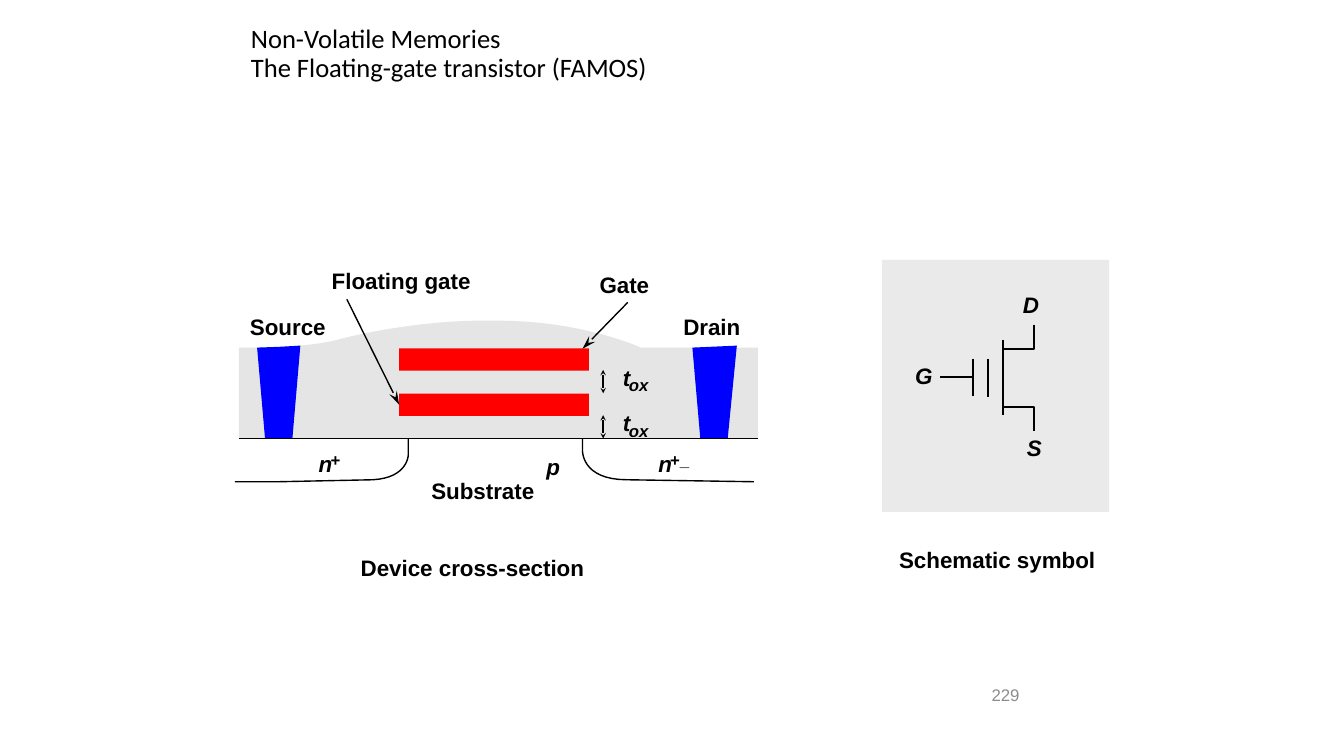
"""Build the slide on the floating-gate transistor."""
import pptx
import pptx.util
import pptx.oxml
import pptx.oxml.ns
import pptx.dml.color
import pptx.enum.text
import pptx.enum.shapes

Cm = pptx.util.Cm
Pt = pptx.util.Pt
ANCHOR = pptx.enum.text.MSO_ANCHOR
FIT = pptx.enum.text.MSO_AUTO_SIZE
ALIGN = pptx.enum.text.PP_ALIGN
SHAPE = pptx.enum.shapes.MSO_SHAPE
LINK = pptx.enum.shapes.MSO_CONNECTOR

HUES = {
    "ink": "000000",
    "panel": "EAEAEA",
    "oxide": "E5E5E5",
    "gate": "FF0000",
    "metal": "0000FF",
    "page": "8C8C8C",
}
BOLD = {"name": "Arial", "size": Pt(16), "bold": True}
SLANT = {**BOLD, "italic": True}
SMALL = {**BOLD, "size": Pt(12)}
SUB = {**SLANT, "size": Pt(12)}
TITLE = {"name": "Calibri", "size": Pt(19), "bold": False}
PAGE = {"name": "Arial", "size": Pt(12), "bold": False}
PITCH = 1.14
BASE = 11.05


def hue(name):
    """Return the named colour."""
    return pptx.dml.color.RGBColor.from_string(HUES[name])


def style(item, values):
    """Set the given attributes on an item."""
    for key, value in values.items():
        setattr(item, key, value)


def write(frame, text, face, color="ink"):
    """Put formatted text in a frame."""
    frame.text = text
    for run in frame.paragraphs[0].runs:
        style(run.font, face)
        run.font.color.rgb = hue(color)


def label(shapes, text, x, y, w, face=BOLD):
    """Add a tight one-line label."""
    box = shapes.add_textbox(Cm(x), Cm(y), Cm(w), Pt(face["size"].pt * 1.2))
    style(box.text_frame, {
        "margin_left": 0, "margin_right": 0, "margin_top": 0,
        "margin_bottom": 0, "word_wrap": False,
        "auto_size": FIT.SHAPE_TO_FIT_TEXT,
    })
    write(box.text_frame, text, face)


def paint(shape, color):
    """Fill a shape flat, with no outline or shadow."""
    shape.shadow.inherit = False
    shape.fill.solid()
    shape.fill.fore_color.rgb = hue(color)
    shape.line.fill.background()


def block(shapes, x, y, w, h, color):
    """Add a filled rectangle."""
    shape = shapes.add_shape(SHAPE.RECTANGLE, Cm(x), Cm(y), Cm(w), Cm(h))
    paint(shape, color)
    return shape


def bend(start, one, two, end, steps=16):
    """Return points along a cubic curve."""
    points = []
    for step in range(steps + 1):
        t = step / steps
        u = 1 - t
        points.append(tuple(
            u**3 * a + 3 * u * u * t * b + 3 * u * t * t * c + t**3 * d
            for a, b, c, d in zip(start, one, two, end)))
    return points


def trace(shapes, points, close):
    """Add an outline through the points."""
    spots = [(Cm(x), Cm(y)) for x, y in points]
    pen = shapes.build_freeform(*spots[0], scale=1.0)
    pen.add_line_segments(spots[1:], close=close)
    return pen.convert_to_shape()


def patch(shapes, points, color):
    """Add a filled closed outline."""
    paint(trace(shapes, points, True), color)


def wire(shapes, points, width=1):
    """Add an open line through the points."""
    shape = trace(shapes, points, False)
    shape.shadow.inherit = False
    shape.fill.background()
    shape.line.color.rgb = hue("ink")
    shape.line.width = Pt(width)


def link(shapes, x1, y1, x2, y2, width=1, ends=(), size="med"):
    """Add a straight line, with arrowheads at the named ends."""
    line = shapes.add_connector(LINK.STRAIGHT, Cm(x1), Cm(y1), Cm(x2), Cm(y2))
    line.line.color.rgb = hue("ink")
    line.line.width = Pt(width)
    stroke = line.line._get_or_add_ln()
    for end in ends:
        tip = pptx.oxml.parse_xml(
            f'<a:{end} {pptx.oxml.ns.nsdecls("a")} type="stealth"/>')
        tip.set("w", size)
        tip.set("len", "lg" if size == "med" else size)
        stroke.append(tip)
    line._element.spPr.append(pptx.oxml.parse_xml(
        f'<a:effectLst {pptx.oxml.ns.nsdecls("a")}/>'))
    return line


def head(slide):
    """Fill in the title."""
    title = slide.shapes.title
    style(title, {"left": Cm(6.07), "top": Cm(-0.22),
                  "width": Cm(21.59), "height": Cm(3.18)})
    frame = title.text_frame
    write(frame, "Non-Volatile Memories\vThe Floating-gate transistor (FAMOS)",
          TITLE)
    style(frame, {"vertical_anchor": ANCHOR.MIDDLE, "auto_size": FIT.NONE})
    style(frame.paragraphs[0], {"alignment": ALIGN.LEFT, "line_spacing": 0.9})


def number(shapes):
    """Add the page number."""
    box = shapes.add_textbox(Cm(24.74), Cm(16.92), Cm(1.7), Cm(1.19))
    write(box.text_frame, "229", PAGE, "page")
    style(box.text_frame, {"vertical_anchor": ANCHOR.MIDDLE,
                           "word_wrap": True})


def device(shapes):
    """Draw the cross-section of the device."""
    wire(shapes, [(14.68, BASE)] + bend(
        (14.68, 11.33), (14.68, 11.33), (14.63, 12.09), (15.8, 12.09))
        + [(19, 12.14)])
    patch(shapes, bend((12.55, 8.08), (14.68, 8.08), (16.15, 8.76),
                       (16.15, 8.76))
          + [(19.1, 8.76), (19.1, BASE), (6.02, BASE), (6.02, 8.76)]
          + bend((6.48, 8.76), (6.48, 8.76), (7.77, 8.76), (8.51, 8.56))
          + bend((8.51, 8.56), (8.51, 8.56), (10.41, 8.03), (12.55, 8.08)),
          "oxide")
    gates = [block(shapes, 10.06, 8.78 + row * PITCH, 4.78, 0.56, "gate")
             for row in range(2)]
    patch(shapes, [(6.68, BASE), (6.48, 8.76), (7.04, 8.74), (7.57, 8.71),
                   (7.37, BASE)], "metal")
    patch(shapes, [(18.34, BASE), (18.57, 8.71), (17.45, 8.76),
                   (17.65, BASE)], "metal")
    arrow = link(shapes, 8.74, 7.54, 10.06, 10.2, ends=["tailEnd"])
    arrow.end_connect(gates[1], 1)
    link(shapes, 15.82, 7.62, 14.68, 8.79, ends=["tailEnd"])
    wire(shapes, [(10.29, BASE)] + bend(
        (10.29, 11.46), (10.29, 11.46), (10.29, 12.04), (9.4, 12.09))
        + [(7.01, 12.14), (5.92, 12.14)])
    for row in range(2):
        drop = row * PITCH
        link(shapes, 15.2, 9.32 + drop, 15.2, 9.91 + drop,
             ends=["headEnd", "tailEnd"], size="sm")
        label(shapes, "t", 15.7, 9.17 + drop, 0.2, SLANT)
        label(shapes, "ox", 15.85, 9.45 + drop, 0.55, SUB)
    link(shapes, 6.02, BASE, 19.1, BASE)
    for text, x, y, w, face in (
            ("Floating gate", 8.36, 6.73, 3.6, BOLD),
            ("Source", 6.3, 7.89, 1.98, BOLD),
            ("Substrate", 10.87, 12.03, 2.75, BOLD),
            ("Gate", 15.11, 6.83, 1.32, BOLD),
            ("Drain", 17.22, 7.89, 1.5, BOLD),
            ("n", 8.03, 11.35, 0.38, SLANT),
            ("+", 8.33, 11.33, 0.28, SMALL),
            ("n", 16.59, 11.35, 0.38, SLANT),
            ("+_", 16.89, 11.33, 0.6, SMALL),
            ("p", 13.77, 11.42, 0.38, SLANT),
            ("Device cross-section", 9.09, 13.97, 5.72, BOLD)):
        label(shapes, text, x, y, w, face)


def symbol(shapes):
    """Draw the schematic symbol."""
    block(shapes, 22.23, 6.55, 5.72, 6.35, "panel")
    label(shapes, "Schematic symbol", 22.66, 13.77, 5.03)
    group = shapes.add_group_shape().shapes
    wire(group, [(25.27, 10.26), (26.06, 10.26), (26.06, 10.87)], 1.5)
    wire(group, [(26.06, 8.18), (26.06, 8.79), (25.27, 8.79)], 1.5)
    for ends in ((25.27, 8.56, 25.27, 10.46), (24.89, 9.04, 24.89, 10.01),
                 (23.7, 9.51, 24.49, 9.51), (24.51, 9.04, 24.51, 9.98)):
        link(group, *ends, width=1.5)
    for text, x, y, w in (("G", 23.06, 9.12, 0.46), ("S", 25.88, 10.95, 0.42),
                          ("D", 25.78, 7.34, 0.44)):
        label(group, text, x, y, w, SLANT)


def main():
    """Build and save the deck."""
    deck = pptx.Presentation()
    style(deck, {"slide_width": Cm(33.87), "slide_height": Cm(19.05)})
    slide = deck.slides.add_slide(deck.slide_layouts[5])
    head(slide)
    number(slide.shapes)
    device(slide.shapes)
    symbol(slide.shapes)
    deck.save("out.pptx")


if __name__ == "__main__":
    main()
